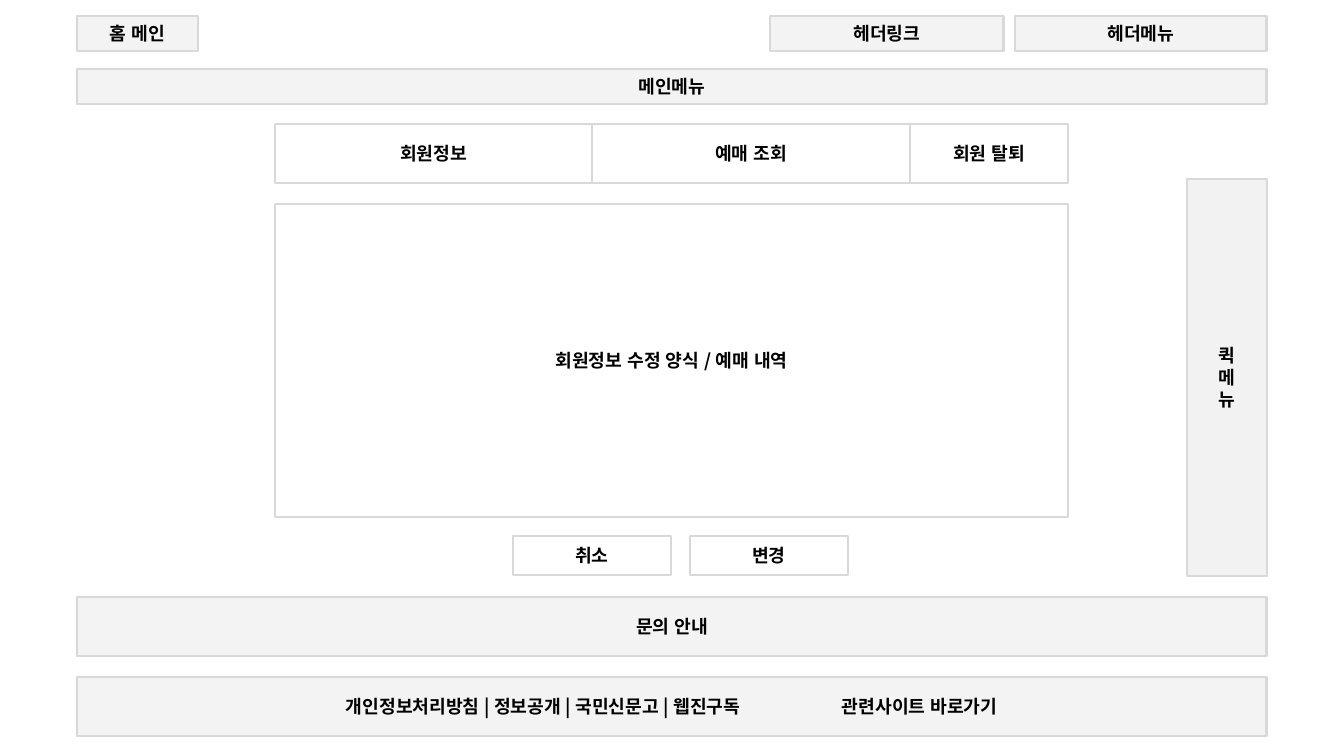
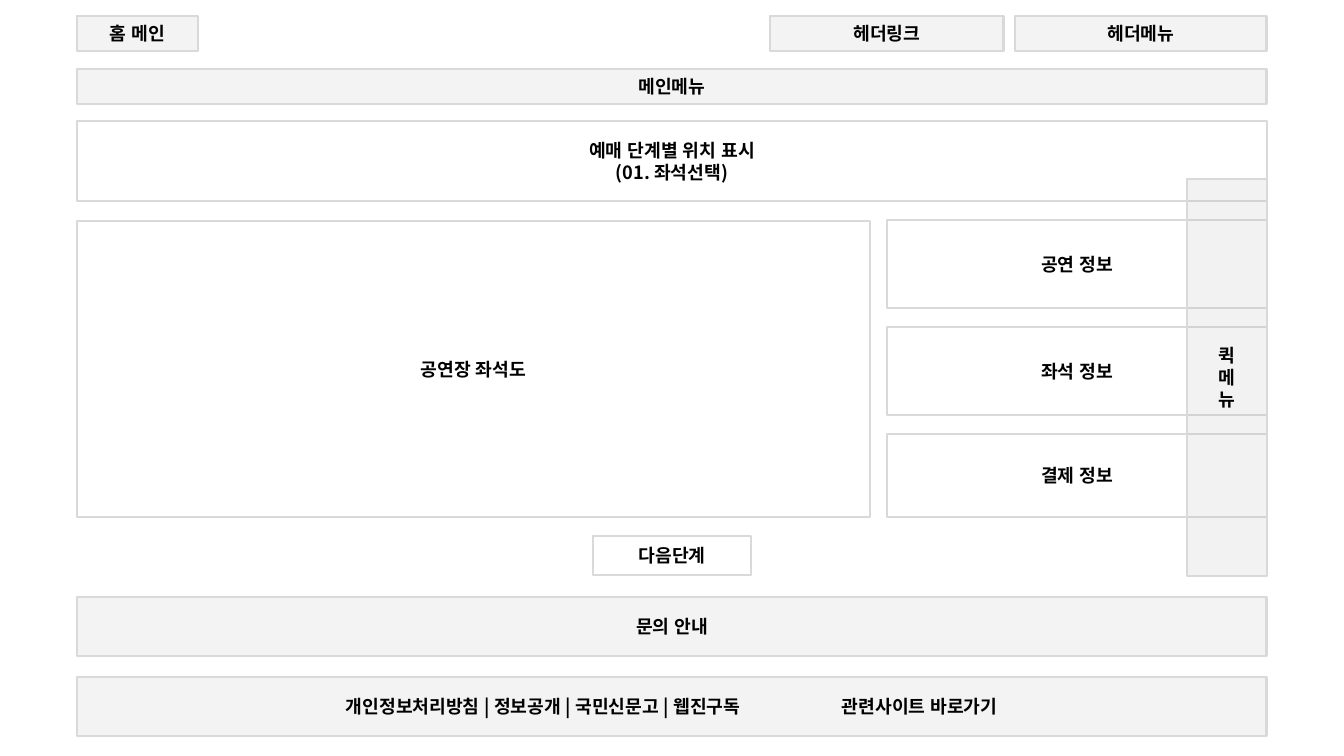
"""Builds two wireframes of a ticketing site: member page and seat selection."""
from pptx import Presentation
from pptx.dml.color import RGBColor
from pptx.enum.lang import MSO_LANGUAGE_ID
from pptx.enum.shapes import MSO_SHAPE
from pptx.enum.text import MSO_ANCHOR, PP_ALIGN
from pptx.oxml.ns import qn
from pptx.util import Pt
from lxml import etree

RECTANGLE = MSO_SHAPE.RECTANGLE
MIDDLE = MSO_ANCHOR.MIDDLE
LEFT, CENTER = PP_ALIGN.LEFT, PP_ALIGN.CENTER
KOREAN = MSO_LANGUAGE_ID.KOREAN

EMU_PER_INCH, PX_PER_INCH = 914400, 100.8
SLIDE_WIDTH, SLIDE_HEIGHT = 1344, 756
FONT_NAME = "Noto Sans CJK KR"
COLORS = {"text": "000000", "line": "D9D9D9", "white": "FFFFFF",
          "band": "D9D9D9", "quick": "BFBFBF"}
FONT = {"name": FONT_NAME, "size": Pt(13), "bold": True, "language_id": KOREAN}
STYLES = {
    "content": {"fill": "white", "opacity": 100, "line": 1},
    "band": {"fill": "band", "opacity": 30, "line": 2},
    "quick": {"fill": "quick", "opacity": 20, "line": 2},
}

MARGIN, FULL_WIDTH = 77, 1190
MAIN_WIDTH, GAP = 793, 19
BUTTON_TOP, BUTTON_WIDTH, BUTTON_HEIGHT = 536, 158, 39

FRAME = [
    ("메인메뉴", (MARGIN, 69, FULL_WIDTH, 35), "band"),
    ("홈 메인", (MARGIN, 16, 121, 35), "band"),
    ("헤더메뉴", (1015, 16, 252, 35), "band"),
    ("헤더링크", (770, 16, 234, 35), "band"),
    ("문의 안내", (MARGIN, 597, FULL_WIDTH, 59), "band"),
    ("퀵\n메\n뉴", (1187, 179, 80, 397), "quick"),
]
FOOTER_LINKS = ["개인정보처리방침", "정보공개", "국민신문고", "웹진구독"]
FOOTER_SITES = "관련사이트 바로가기"
FOOTER_BOX = (MARGIN, 677, FULL_WIDTH, 59)
FOOTER_TEXT_LEFT, FOOTER_SITES_LEFT = 346, 842

MEMBER_LEFT = 275
MEMBER_TABS = [("회원정보", 317), ("예매 조회", 318), ("회원 탈퇴", 158)]
MEMBER_PANEL = ("회원정보 수정 양식 / 예매 내역", (MEMBER_LEFT, 204, MAIN_WIDTH, 313))
MEMBER_BUTTONS = [("취소", 513), ("변경", 690)]

SEAT_PANELS = [
    ("공연장 좌석도", (MARGIN, 221, MAIN_WIDTH, 296)),
    ("예매 단계별 위치 표시\n(01. 좌석선택)", (MARGIN, 121, FULL_WIDTH, 80)),
]
SEAT_DETAILS = [("공연 정보", 88), ("좌석 정보", 88), ("결제 정보", 83)]
SEAT_BUTTONS = [("다음단계", 593)]


def px(length):
    return round(length * EMU_PER_INCH / PX_PER_INCH)


def color(name):
    return RGBColor.from_string(COLORS[name])


def add_box(slide, text, box, style="content", alignment=CENTER):
    look = STYLES[style]
    shape = slide.shapes.add_shape(RECTANGLE, *map(px, box))
    shape.shadow.inherit = False
    shape.fill.solid()
    shape.fill.fore_color.rgb = color(look["fill"])
    if look["opacity"] < 100:
        fill_color = shape._element.spPr.find(qn("a:solidFill"))[0]
        etree.SubElement(fill_color, qn("a:alpha"), val=str(look["opacity"] * 1000))
    shape.line.color.rgb = color("line")
    shape.line.width = Pt(look["line"])
    frame = shape.text_frame
    frame.word_wrap = True
    frame.vertical_anchor = MIDDLE
    frame.text = text
    for paragraph in frame.paragraphs:
        paragraph.alignment = alignment
        for run in paragraph.runs:
            for attribute, value in FONT.items():
                setattr(run.font, attribute, value)
            run.font.color.rgb = color("text")
            etree.SubElement(run.font._element, qn("a:ea"), typeface=FONT_NAME)
    return shape


def add_footer(slide):
    text = " | ".join(FOOTER_LINKS) + "\t" + FOOTER_SITES
    frame = add_box(slide, text, FOOTER_BOX, "band", LEFT).text_frame
    frame.margin_left = px(FOOTER_TEXT_LEFT - MARGIN)
    properties = frame.paragraphs[0]._p.get_or_add_pPr()
    tab_list = etree.SubElement(properties, qn("a:tabLst"))
    tab_position = px(FOOTER_SITES_LEFT - FOOTER_TEXT_LEFT)
    etree.SubElement(tab_list, qn("a:tab"), pos=str(tab_position), algn="l")


def add_frame(slide):
    for text, box, style in FRAME:
        add_box(slide, text, box, style)
    add_footer(slide)


def add_buttons(slide, buttons):
    for text, left in buttons:
        add_box(slide, text, (left, BUTTON_TOP, BUTTON_WIDTH, BUTTON_HEIGHT))


def add_member_content(slide):
    left = MEMBER_LEFT
    for text, width in MEMBER_TABS:
        add_box(slide, text, (left, 124, width, 59))
        left += width
    add_box(slide, *MEMBER_PANEL)
    add_buttons(slide, MEMBER_BUTTONS)


def add_seat_content(slide):
    for text, box in SEAT_PANELS:
        add_box(slide, text, box)
    top = 220
    for text, height in SEAT_DETAILS:
        add_box(slide, text, (887, top, 380, height))
        top += height + GAP
    add_buttons(slide, SEAT_BUTTONS)


def main():
    presentation = Presentation()
    presentation.slide_width = px(SLIDE_WIDTH)
    presentation.slide_height = px(SLIDE_HEIGHT)
    blank_layout = presentation.slide_layouts[6]
    for add_content in (add_member_content, add_seat_content):
        slide = presentation.slides.add_slide(blank_layout)
        add_content(slide)
        add_frame(slide)
    presentation.save("out.pptx")


if __name__ == "__main__":
    main()
